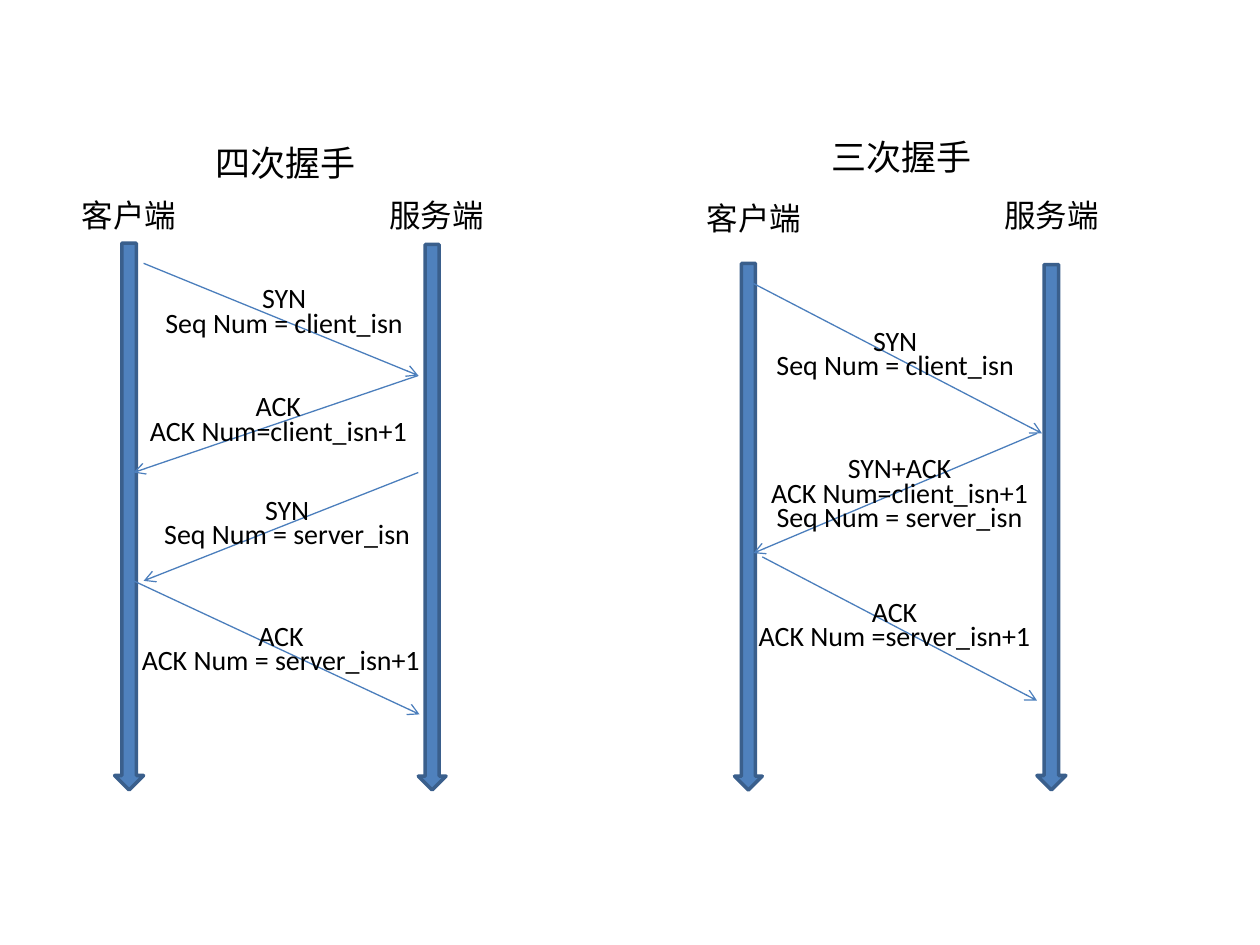
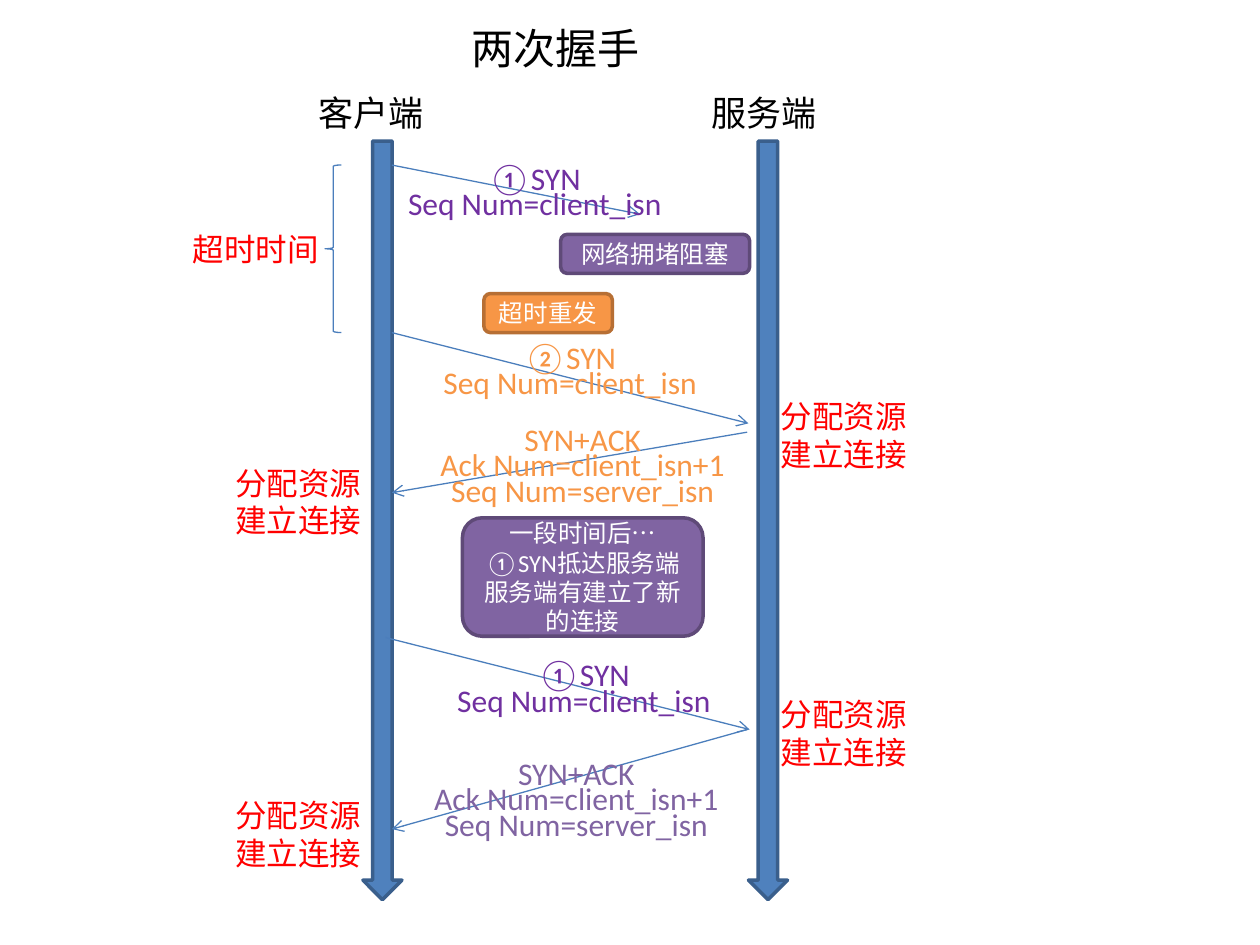
from dataclasses import dataclass

from lxml.etree import SubElement
from pptx import Presentation
from pptx.dml.color import RGBColor
from pptx.enum.shapes import MSO_CONNECTOR, MSO_SHAPE
from pptx.enum.text import MSO_ANCHOR, MSO_AUTO_SIZE, PP_ALIGN
from pptx.oxml.ns import qn
from pptx.util import Inches, Pt

FONT = "Calibri"
BLACK, WHITE, RED = "000000", "FFFFFF", "FF0000"
BLUE, BLUE_EDGE, LINE_BLUE = "4F81BD", "3A5F8C", "4B7EBC"
PURPLE, PURPLE_EDGE, VIOLET = "8064A2", "5F4A78", "7030A0"
ORANGE, ORANGE_EDGE = "F79646", "B76F34"


@dataclass
class Style:
    title_size: int
    role_size: int
    role_align: PP_ALIGN
    message_size: int
    message_spacing: float


COMPACT = Style(20, 18, PP_ALIGN.CENTER, 16, 14)
LARGE = Style(24, 20, PP_ALIGN.LEFT, 18, 14.6)


@dataclass
class Region:
    slide: object
    left: float
    top: float

    def point(self, x, y):
        return Inches(self.left + x), Inches(self.top + y)

    def place(self, box):
        x, y, width, height = box
        return *self.point(x, y), Inches(width), Inches(height)


def color(value):
    return RGBColor.from_string(value)


def write(frame, lines, size, ink, align, spacing=None):
    frame.word_wrap = True
    for index, line in enumerate(lines):
        paragraph = frame.paragraphs[0] if index == 0 else frame.add_paragraph()
        paragraph.alignment = align
        if spacing:
            paragraph.line_spacing = Pt(spacing)
        run = paragraph.add_run()
        run.text = line
        run.font.name = FONT
        run.font.size = Pt(size)
        run.font.color.rgb = color(ink)


def add_label(region, box, lines, size, ink=BLACK, align=PP_ALIGN.LEFT, spacing=None):
    frame = region.slide.shapes.add_textbox(*region.place(box)).text_frame
    write(frame, lines, size, ink, align, spacing)
    frame.auto_size = MSO_AUTO_SIZE.SHAPE_TO_FIT_TEXT


def add_outlined(region, preset, box, fill, edge, width):
    shape = region.slide.shapes.add_shape(preset, *region.place(box))
    shape.shadow.inherit = False
    if fill:
        shape.fill.solid()
        shape.fill.fore_color.rgb = color(fill)
    else:
        shape.fill.background()
    shape.line.color.rgb = color(edge)
    shape.line.width = Pt(width)
    return shape


def add_note(region, box, lines, fill, edge):
    note = add_outlined(region, MSO_SHAPE.ROUNDED_RECTANGLE, box, fill, edge, 2)
    note.text_frame.vertical_anchor = MSO_ANCHOR.MIDDLE
    write(note.text_frame, lines, 14, WHITE, PP_ALIGN.CENTER)


def add_arrow(region, start, end):
    arrow = region.slide.shapes.add_connector(
        MSO_CONNECTOR.STRAIGHT, *region.point(*start), *region.point(*end))
    arrow.line.color.rgb = color(LINE_BLUE)
    arrow.line.width = Pt(0.75)
    SubElement(arrow.line._get_or_add_ln(), qn("a:tailEnd"), type="arrow")
    SubElement(arrow._element.spPr, qn("a:effectLst"))


def add_handshake(region, style, title, title_box, client_box, server_box, lifelines, messages):
    add_label(region, title_box, [title], style.title_size)
    for role, box in (("客户端", client_box), ("服务端", server_box)):
        add_label(region, box, [role], style.role_size, align=style.role_align)
    for box in lifelines:
        add_outlined(region, MSO_SHAPE.DOWN_ARROW, box, BLUE, BLUE_EDGE, 2)
    for start, end, box, lines, ink in messages:
        add_arrow(region, start, end)
        add_label(region, box, lines, style.message_size, ink,
                  PP_ALIGN.CENTER, style.message_spacing)


def add_four_way(region):
    add_handshake(
        region, COMPACT, "四次握手", (1.41, 0.04, 1.65, 0.44),
        (0, 0.48, 1.65, 0.4), (2.44, 0.48, 1.65, 0.4),
        [(0.71, 0.9, 0.23, 4.34), (3.12, 0.91, 0.22, 4.33)],
        [((0.94, 1.06), (3.12, 1.95), (0.98, 1.22, 2.15, 0.5),
          ["SYN", "Seq Num = client_isn"], BLACK),
         ((3.12, 1.95), (0.86, 2.72), (0.83, 2.08, 2.36, 0.69),
          ["ACK", "ACK Num=client_isn+1"], BLACK),
         ((3.12, 2.72), (0.94, 3.58), (0.9, 2.9, 2.36, 0.69),
          ["SYN", "Seq Num = server_isn"], BLACK),
         ((0.86, 3.58), (3.13, 4.64), (0.73, 3.9, 2.6, 0.69),
          ["ACK", "ACK Num = server_isn+1"], BLACK)])


def add_three_way(region):
    add_handshake(
        region, COMPACT, "三次握手", (1.34, 0, 1.65, 0.44),
        (0, 0.5, 1.65, 0.4), (2.36, 0.48, 1.65, 0.4),
        [(0.67, 1.06, 0.22, 4.18), (3.07, 1.07, 0.23, 4.17)],
        [((0.82, 1.22), (3.11, 2.41), (0.87, 1.56, 2.15, 0.5),
          ["SYN", "Seq Num = client_isn"], BLACK),
         ((3.07, 2.41), (0.82, 3.36), (0.8, 2.57, 2.36, 0.69),
          ["SYN+ACK", "ACK Num=client_isn+1", "Seq Num = server_isn"], BLACK),
         ((0.89, 3.39), (3.07, 4.53), (0.64, 3.71, 2.6, 0.69),
          ["ACK", "ACK Num =server_isn+1"], BLACK)])


def add_two_way(region):
    first_syn = ["①SYN", "Seq Num=client_isn"]
    resent_syn = ["②SYN", "Seq Num=client_isn"]
    reply = ["SYN+ACK", "Ack Num=client_isn+1", "Seq Num=server_isn"]
    add_handshake(
        region, LARGE, "两次握手", (2.21, 0, 1.68, 0.47),
        (1, 0.55, 1.08, 0.44), (4.12, 0.55, 1.08, 0.44),
        [(x, 0.99, 0.31, 6.02) for x in (1.45, 4.51)],
        [((1.68, 1.18), (3.65, 1.57), (1.68, 1.18, 2.27, 0.54), first_syn, VIOLET),
         ((1.68, 2.51), (4.51, 3.23), (1.96, 2.6, 2.27, 0.54), resent_syn, ORANGE),
         ((4.5, 3.3), (1.68, 3.78), (1.68, 3.25, 3.03, 0.73), reply, ORANGE),
         ((1.63, 4.93), (4.52, 5.66), (2.07, 5.12, 2.27, 0.54), first_syn, VIOLET),
         ((4.5, 5.66), (1.68, 6.45), (1.63, 5.9, 3.03, 0.73), reply, PURPLE)])

    add_note(region, (3.02, 1.73, 1.5, 0.31), ["网络拥堵阻塞"], PURPLE, PURPLE_EDGE)
    add_note(region, (2.41, 2.2, 1.02, 0.31), ["超时重发"], ORANGE, ORANGE_EDGE)
    add_note(region, (2.24, 3.98, 1.91, 0.94),
             ["一段时间后…", "①SYN抵达服务端", "服务端有建立了新的连接"],
             PURPLE, PURPLE_EDGE)

    add_outlined(region, MSO_SHAPE.LEFT_BRACE, (1.15, 1.18, 0.13, 1.33),
                 None, LINE_BLUE, 0.75)
    add_label(region, (0, 1.65, 1.26, 0.4), ["超时时间"], 18, RED)
    for x, y in ((0.34, 3.5), (4.67, 5.34), (0.34, 6.14), (4.67, 2.97)):
        add_label(region, (x, y, 1.26, 0.71), ["分配资源", "建立连接"], 18, RED)


def main():
    deck = Presentation()
    deck.slide_width, deck.slide_height = Inches(10), Inches(7.5)
    blank = deck.slide_layouts[6]
    comparison = deck.slides.add_slide(blank)
    add_four_way(Region(comparison, 0.2, 1.03))
    add_three_way(Region(comparison, 5.16, 1.03))
    add_two_way(Region(deck.slides.add_slide(blank), 1.43, 0.13))
    deck.save("out.pptx")


if __name__ == "__main__":
    main()
